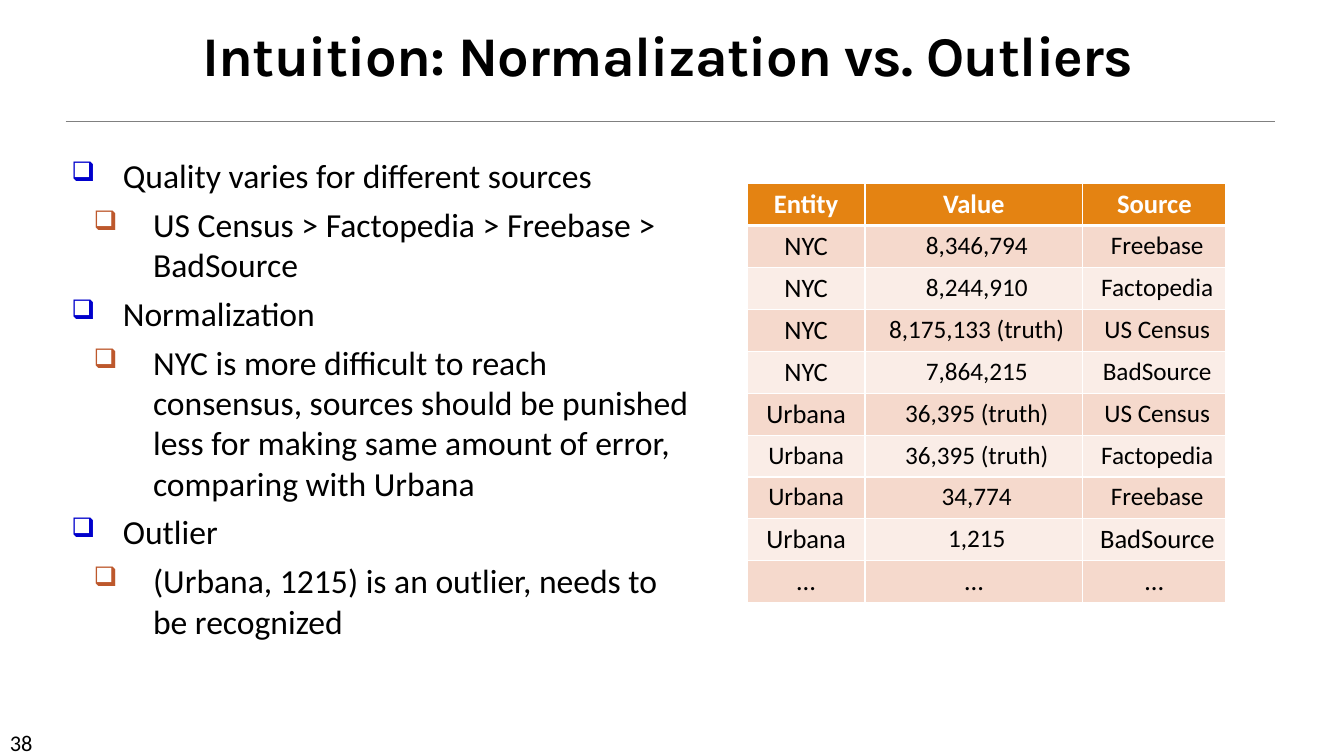
from lxml.etree import SubElement
from pptx import Presentation
from pptx.dml.color import RGBColor
from pptx.enum.shapes import MSO_CONNECTOR
from pptx.enum.text import MSO_ANCHOR, PP_ALIGN
from pptx.oxml.ns import qn
from pptx.util import Inches, Pt

# Content
TITLE = "Intuition: Normalization vs. Outliers"
PAGE_NUMBER = "38"
OUTLINE = [  # level, text
    (0, "Quality varies for different sources"),
    (1, "US Census > Factopedia > Freebase > BadSource"),
    (0, "Normalization"),
    (1, "NYC is more difficult to reach consensus, sources should be punished "
        "less for making same amount of error, comparing with Urbana"),
    (0, "Outlier"),
    (1, "(Urbana, 1215) is an outlier, needs to be recognized"),
]
CLAIMS = [  # cell texts, cell text sizes
    (("Entity", "Value", "Source"), (19, 19, 19)),
    (("NYC", " 8,346,794", " Freebase"), (19, 18, 18)),
    (("NYC", " 8,244,910", " Factopedia"), (19, 18, 18)),
    (("NYC", " 8,175,133 (truth)", " US Census"), (19, 18, 18)),
    (("NYC", " 7,864,215", " BadSource"), (19, 18, 18)),
    (("Urbana", " 36,395 (truth)", " US Census"), (19, 18, 18)),
    (("Urbana", " 36,395 (truth)", " Factopedia"), (18, 18, 18)),
    (("Urbana", " 34,774", " Freebase"), (18, 18, 18)),
    (("Urbana", " 1,215", " BadSource"), (19, 18, 19)),
    (("…", "…", "…"), (19, 19, 19)),
]

# Look
BLACK, WHITE, RULE_GREY = "000000", "FFFFFF", "808080"
HEADER_FILL, BAND_FILLS = "E48312", ("FAEDE7", "F5D9CC")
LEVELS = [(0.51, -0.51, "0000CC"), (0.81, -0.59, "BD582C")]  # margin, indent, bullet
COLUMNS, ROW_HEIGHT = (1.17, 2.16, 1.42), 0.41


def color(value):
    return RGBColor.from_string(value)


def style(font, size, value=BLACK, bold=False, name="Calibri"):
    font.name, font.size, font.bold = name, Pt(size), bold
    font.color.rgb = color(value)


def add_box(page, left, top, width, height):
    box = page.shapes.add_textbox(*map(Inches, (left, top, width, height)))
    box.text_frame.word_wrap = True
    return box.text_frame


def add_bullet(para, level):
    margin, indent, bullet_color = LEVELS[level]
    properties = para._p.get_or_add_pPr()
    properties.set("marL", str(Inches(margin)))
    properties.set("indent", str(Inches(indent)))
    fill = SubElement(properties, qn("a:buClr"))
    SubElement(fill, qn("a:srgbClr"), val=bullet_color)
    SubElement(properties, qn("a:buSzPct"), val="80000")
    SubElement(properties, qn("a:buChar"), char="❑")


def add_title(page):
    frame = add_box(page, 0.61, 0.08, 12.03, 0.84)
    frame.vertical_anchor = MSO_ANCHOR.BOTTOM
    frame.text = TITLE
    para = frame.paragraphs[0]
    para.alignment, para.line_spacing = PP_ALIGN.CENTER, 0.85
    span = para.runs[0]
    style(span.font, 40, bold=True, name="Karla")
    span._r.get_or_add_rPr().set("spc", "-50")


def add_rule(page):
    rule = page.shapes.add_connector(
        MSO_CONNECTOR.STRAIGHT, *map(Inches, (0.65, 1.2, 12.65, 1.2)))
    rule.line.color.rgb, rule.line.width = color(RULE_GREY), Pt(0.5)
    SubElement(rule._element.spPr, qn("a:effectLst"))


def add_outline(page):
    frame = add_box(page, 0.61, 1.49, 6.39, 5.47)
    for index, (level, text) in enumerate(OUTLINE):
        para = frame.add_paragraph() if index else frame.paragraphs[0]
        para.text, para.level = text, level
        add_bullet(para, level)
        para.space_before = Pt(6 if index else 0)
        style(para.runs[0].font, 24)


def add_bottom_border(cell, width):
    properties = cell._tc.get_or_add_tcPr()
    border = SubElement(properties, qn("a:lnB"), w=str(Pt(width)))
    fill = SubElement(border, qn("a:solidFill"))
    SubElement(fill, qn("a:srgbClr"), val=WHITE)


def add_claims(page):
    frame = page.shapes.add_table(
        len(CLAIMS), len(COLUMNS), Inches(7.41), Inches(1.82),
        Inches(sum(COLUMNS)), Inches(ROW_HEIGHT * len(CLAIMS)))
    table = frame.table
    for column, width in zip(table.columns, COLUMNS):
        column.width = Inches(width)
    for index, (texts, sizes) in enumerate(CLAIMS):
        header = index == 0
        table.rows[index].height = Inches(ROW_HEIGHT)
        for cell, text, size in zip(table.rows[index].cells, texts, sizes):
            add_bottom_border(cell, 3 if header else 1)
            cell.fill.solid()
            cell.fill.fore_color.rgb = color(
                HEADER_FILL if header else BAND_FILLS[index % 2])
            cell.text = text
            para = cell.text_frame.paragraphs[0]
            para.alignment = PP_ALIGN.CENTER
            style(para.runs[0].font, size, WHITE if header else BLACK, header)


def add_page_number(page):
    frame = add_box(page, 0, 7.18, 1.17, 0.3)
    frame.text = PAGE_NUMBER
    style(frame.paragraphs[0].runs[0].font, 16)


def main():
    deck = Presentation()
    deck.slide_width, deck.slide_height = Inches(13.33), Inches(7.5)
    page = deck.slides.add_slide(deck.slide_layouts[6])
    for add_part in (add_rule, add_page_number, add_title, add_outline, add_claims):
        add_part(page)
    deck.save("out.pptx")


if __name__ == "__main__":
    main()
